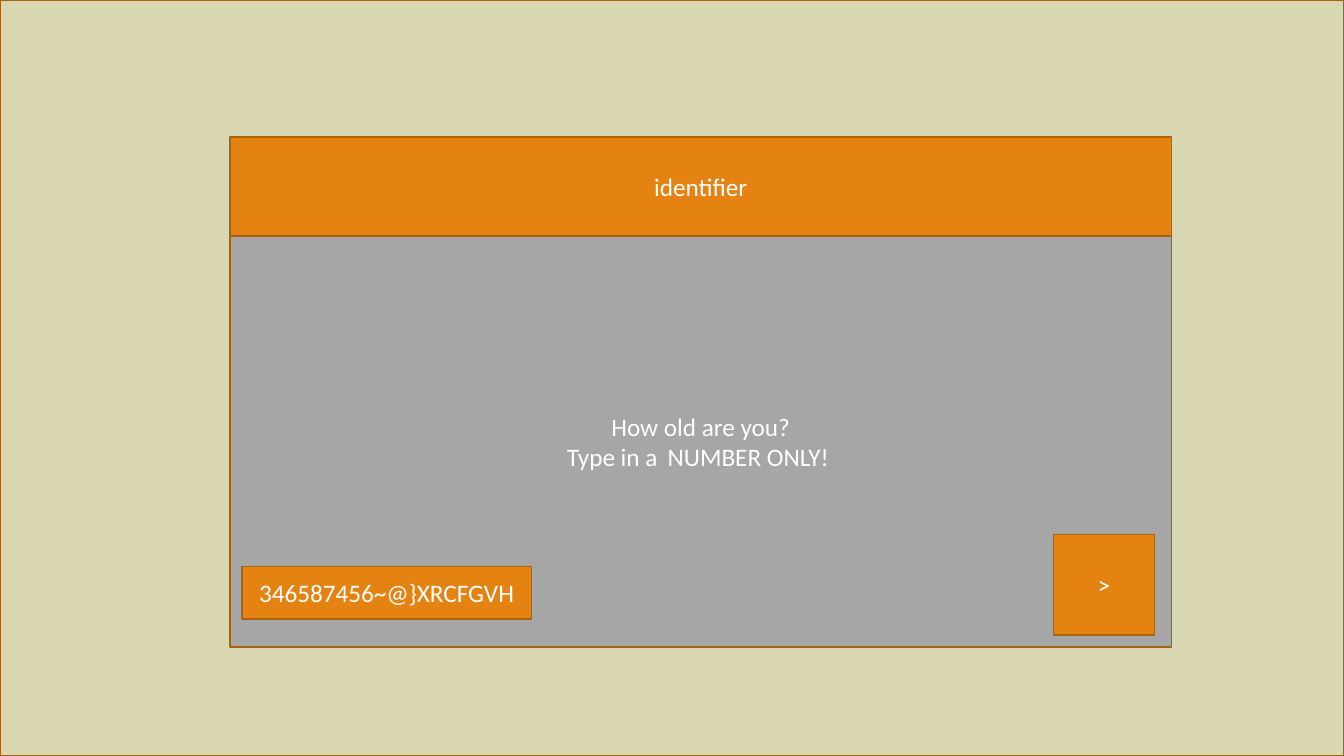
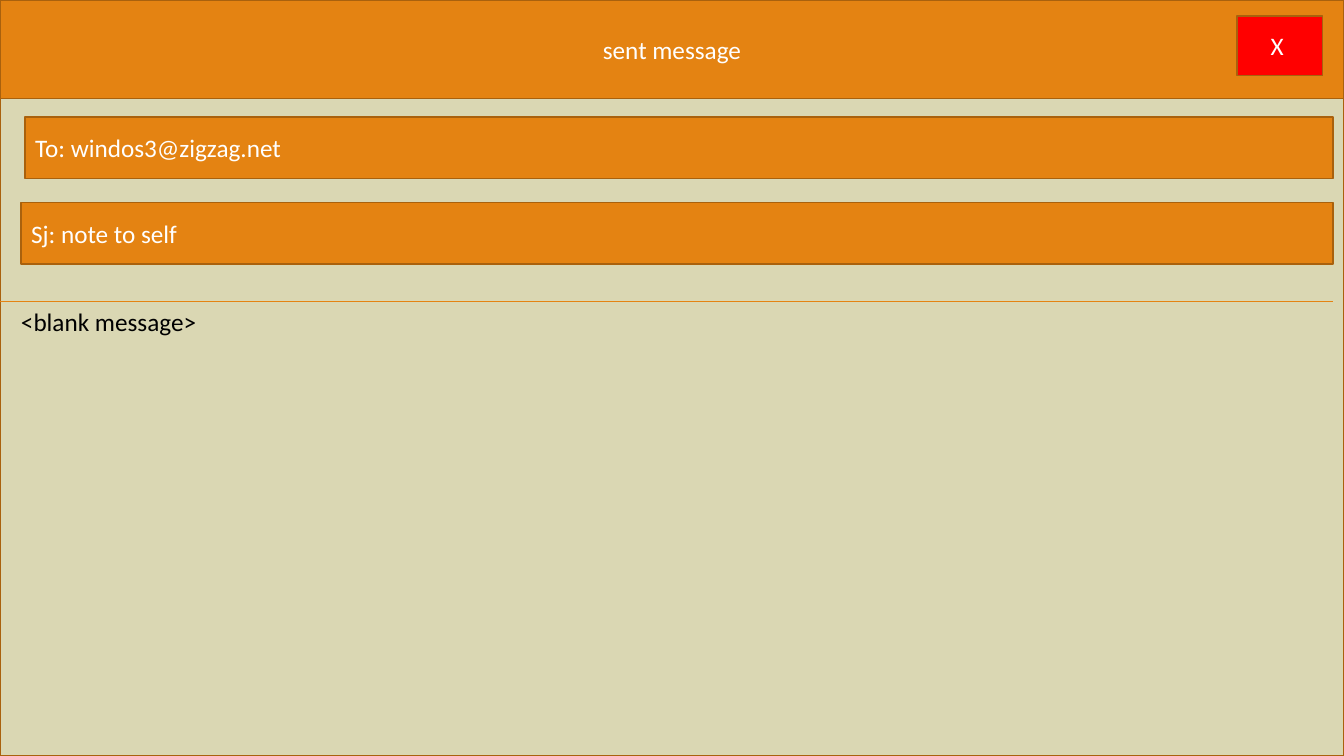
from dataclasses import dataclass

from lxml.etree import SubElement
from pptx import Presentation
from pptx.dml.color import RGBColor
from pptx.enum.shapes import MSO_CONNECTOR as Connector, MSO_SHAPE as Preset
from pptx.enum.text import MSO_ANCHOR as Anchor, MSO_AUTO_SIZE as AutoSize, PP_ALIGN as Align
from pptx.oxml.ns import qn
from pptx.slide import Slide
from pptx.text.text import TextFrame
from pptx.util import Inches, Pt

WIDTH, HEIGHT = 13.33, 7.5
BAR_HEIGHT = 0.98
ORANGE, BROWN, SAND = "E48312", "A9610D", "DAD7B3"
GRAY, RED, WHITE, BLACK = "A6A6A6", "FF0000", "FFFFFF", "000000"
FONT, TEXT_SIZE = "Calibri", 18


@dataclass(frozen=True)
class Panel:
    left: float
    top: float
    width: float
    height: float
    text: str = ""
    fill: str = ORANGE
    align: Align = Align.CENTER


def rgb(value: str) -> RGBColor:
    return RGBColor.from_string(value)


def write(frame: TextFrame, text: str, color: str, align: Align) -> None:
    frame.word_wrap = True
    frame.text = text
    for paragraph in frame.paragraphs:
        paragraph.alignment = align
        for run in paragraph.runs:
            run.font.name = FONT
            run.font.size = Pt(TEXT_SIZE)
            run.font.color.rgb = rgb(color)


def draw_panel(slide: Slide, panel: Panel) -> None:
    box = slide.shapes.add_shape(
        Preset.RECTANGLE,
        Inches(panel.left), Inches(panel.top), Inches(panel.width), Inches(panel.height),
    )
    box.shadow.inherit = False
    box.fill.solid()
    box.fill.fore_color.rgb = rgb(panel.fill)
    box.line.color.rgb = rgb(BROWN)
    box.line.width = Pt(1)
    if panel.text:
        box.text_frame.vertical_anchor = Anchor.MIDDLE
        write(box.text_frame, panel.text, WHITE, panel.align)


def title_bar(left: float, top: float, width: float, title: str) -> Panel:
    return Panel(left, top, width, BAR_HEIGHT, title)


def mail_field(left: float, top: float, text: str) -> Panel:
    right = 13.22
    return Panel(left, top, right - left, 0.61, text, align=Align.LEFT)


def draw_divider(slide: Slide, top: float, right: float) -> None:
    divider = slide.shapes.add_connector(
        Connector.STRAIGHT, Inches(0), Inches(top), Inches(right), Inches(top)
    )
    divider.line.color.rgb = rgb(ORANGE)
    divider.line.width = Pt(0.5)
    SubElement(divider._element.spPr, qn("a:effectLst"))


def draw_message(slide: Slide, top: float, text: str) -> None:
    message = slide.shapes.add_textbox(Inches(0.11), Inches(top), Inches(10.03), Inches(0.4))
    write(message.text_frame, text, BLACK, Align.LEFT)
    message.text_frame.auto_size = AutoSize.SHAPE_TO_FIT_TEXT


def add_screen(deck: Presentation, panels: list[Panel]) -> Slide:
    slide = deck.slides.add_slide(deck.slide_layouts[6])
    desktop = Panel(0, 0, WIDTH, HEIGHT, fill=SAND)
    for panel in [desktop, *panels]:
        draw_panel(slide, panel)
    return slide


def add_identifier(deck: Presentation) -> None:
    left, top, width = 2.28, 1.36, 9.34
    question = "How old are you?\nType in a \tNUMBER ONLY! "
    add_screen(deck, [
        Panel(left, top + BAR_HEIGHT, width, 4.08, question, GRAY),
        title_bar(left, top, width, "identifier"),
        Panel(2.4, 5.62, 2.87, 0.52, "346587456~@}XRCFGVH"),
        Panel(10.45, 5.3, 1, 1, ">"),
    ])


def add_sent_message(deck: Presentation) -> None:
    slide = add_screen(deck, [
        title_bar(0, 0, WIDTH, "sent message"),
        Panel(12.27, 0.16, 0.85, 0.59, "X ", RED),
        mail_field(0.25, 1.16, "To: windos3@zigzag.net"),
        mail_field(0.21, 2.01, "Sj: note to self"),
    ])
    body_top = 2.99
    draw_divider(slide, body_top, 13.22)
    draw_message(slide, body_top, "<blank message>")


def main() -> None:
    deck = Presentation()
    deck.slide_width, deck.slide_height = Inches(WIDTH), Inches(HEIGHT)
    add_identifier(deck)
    add_sent_message(deck)
    deck.save("out.pptx")


if __name__ == "__main__":
    main()
